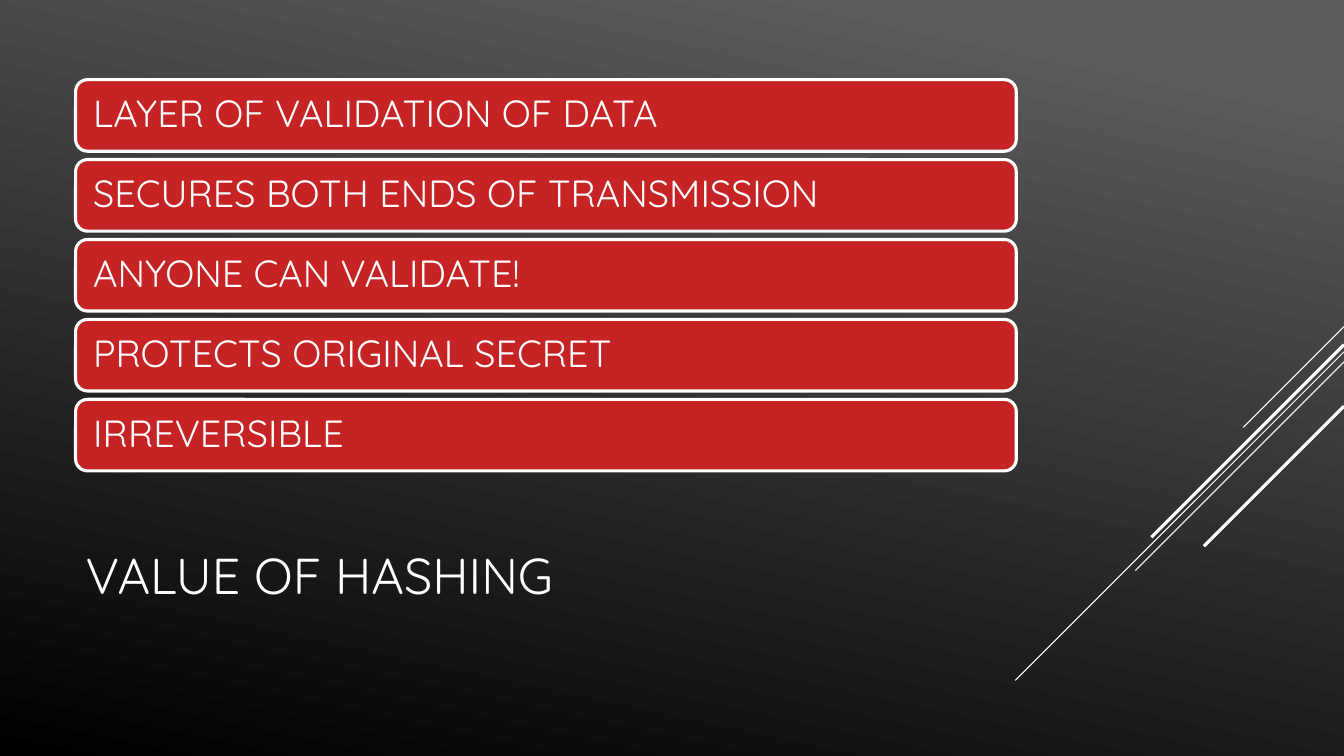
from lxml.etree import SubElement
from pptx import Presentation
from pptx.dml.color import RGBColor
from pptx.enum.shapes import MSO_CONNECTOR as Link, MSO_SHAPE as Shape
from pptx.enum.text import MSO_ANCHOR as Anchor, PP_ALIGN as Align
from pptx.oxml.ns import qn
from pptx.util import Inches, Pt

WIDTH, HEIGHT = 13.33, 7.5
LEFT, SPAN = 0.75, 9.33
FONT = "Quicksand"
WHITE, RED = "FFFFFF", "C62324"
VALUES = [
    "LAYER OF VALIDATION OF DATA",
    "SECURES BOTH ENDS OF TRANSMISSION",
    "ANYONE CAN VALIDATE!",
    "PROTECTS ORIGINAL SECRET",
    "IRREVERSIBLE",
]
RAYS = [
    (3.24, 1.0, 0.75),
    (3.49, 3.26, 0.75),
    (3.59, 2.07, 0.75),
    (3.42, 1.91, 2.25),
    (4.03, 1.39, 2.25),
]


def paint(color, code):
    color.rgb = RGBColor.from_string(code)


def write(frame, text, size):
    frame.text = text
    frame.word_wrap = True
    frame.vertical_anchor = Anchor.MIDDLE
    line = frame.paragraphs[0]
    line.alignment = Align.LEFT
    line.line_spacing = 0.9
    font = line.runs[0].font
    font.name, font.size = FONT, Pt(size)
    paint(font.color, WHITE)


def add_back(slide):
    fill = slide.background.fill
    fill.gradient()
    fill.gradient_angle = 258
    stops = zip(fill.gradient_stops, [(0.1, "5B5B5B"), (1, "000000")])
    for stop, (place, code) in stops:
        stop.position = place
        paint(stop.color, code)


def add_title(slide, text):
    title = slide.shapes.title
    title.left, title.top = Inches(LEFT), Inches(4.91)
    title.width, title.height = Inches(SPAN), Inches(1.65)
    write(title.text_frame, text, 36)


def add_ray(slide, top, reach, weight):
    ray = slide.shapes.add_connector(
        Link.STRAIGHT, Inches(WIDTH), Inches(top),
        Inches(WIDTH - reach), Inches(top + reach))
    paint(ray.line.color, WHITE)
    ray.line.width = Pt(weight)
    SubElement(ray.element.spPr, qn("a:effectLst"))


def add_bar(slide, top, text):
    bar = slide.shapes.add_shape(
        Shape.ROUNDED_RECTANGLE, Inches(LEFT), Inches(top),
        Inches(SPAN), Inches(0.71))
    bar.shadow.inherit = False
    bar.fill.solid()
    paint(bar.fill.fore_color, RED)
    paint(bar.line.color, WHITE)
    bar.line.width = Pt(2.25)
    frame = bar.text_frame
    frame.margin_left = frame.margin_right = Inches(0.14)
    write(frame, text, 27)


def main():
    deck = Presentation()
    deck.slide_width, deck.slide_height = Inches(WIDTH), Inches(HEIGHT)
    slide = deck.slides.add_slide(deck.slide_layouts[5])
    add_back(slide)
    add_title(slide, "VALUE OF HASHING")
    for ray in RAYS:
        add_ray(slide, *ray)
    for row, text in enumerate(VALUES):
        add_bar(slide, 0.79 + row * 0.793, text)
    deck.save("out.pptx")


if __name__ == "__main__":
    main()
